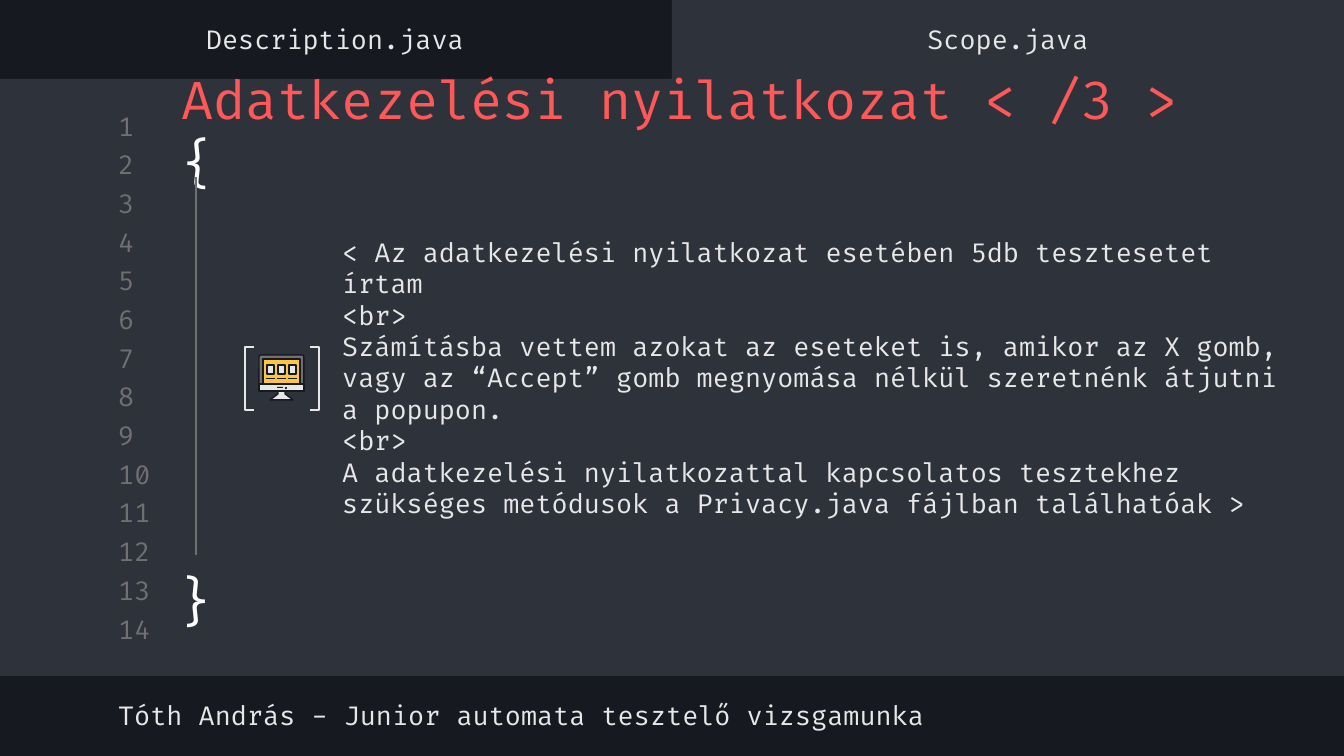
from dataclasses import dataclass

from lxml import etree
from pptx import Presentation
from pptx import util as u
from pptx.dml.color import RGBColor
from pptx.enum import shapes, text
from pptx.oxml.ns import qn

SCALE = 9144000 / 1344
WIDE, HIGH = 1344, 756


def px(n: int) -> u.Emu:
    return u.Emu(round(n * SCALE))


@dataclass(frozen=True)
class Theme:
    font: str = "Fira Code"
    body: int = 14
    head: int = 28
    thin: float = 0.75
    back: str = "16191F"
    panel: str = "2E323B"
    gray: str = "707070"
    pale: str = "E7E7E7"
    red: str = "FF5858"
    white: str = "FFFFFF"
    gold: str = "FCC642"


T = Theme()
KIND = shapes.MSO_SHAPE
MID = text.MSO_ANCHOR.MIDDLE
TOP = text.MSO_ANCHOR.TOP
CENTER = text.PP_ALIGN.CENTER
LEFT = text.PP_ALIGN.LEFT


@dataclass(frozen=True)
class Box:
    x: int
    y: int
    w: int
    h: int

    def emu(self) -> tuple:
        return px(self.x), px(self.y), px(self.w), px(self.h)


@dataclass(frozen=True)
class Label:
    box: Box
    lines: tuple
    color: str = T.pale
    size: int = T.body
    align: int = LEFT
    anchor: int = MID


@dataclass(frozen=True)
class Form:
    box: Box
    fill: str = ""
    line: str = ""
    kind: int = KIND.RECTANGLE
    bend: float | None = None


def rgb(code: str) -> RGBColor:
    return RGBColor.from_string(code)


def paint(shape, fill: str, line: str) -> None:
    shape.shadow.inherit = False
    if fill:
        shape.fill.solid()
        shape.fill.fore_color.rgb = rgb(fill)
    else:
        shape.fill.background()
    if line:
        shape.line.color.rgb = rgb(line)
        shape.line.width = u.Pt(T.thin)
    else:
        shape.line.fill.background()


def draw(slide, form: Form) -> None:
    shape = slide.shapes.add_shape(form.kind, *form.box.emu())
    if form.bend is not None:
        shape.adjustments[0] = form.bend
    paint(shape, form.fill, form.line)


def write(slide, label: Label):
    shape = slide.shapes.add_textbox(*label.box.emu())
    frame = shape.text_frame
    frame.word_wrap = True
    frame.vertical_anchor = label.anchor
    frame.margin_left = frame.margin_right = u.Inches(0.1)
    frame.margin_top = frame.margin_bottom = u.Inches(0.1)
    for i, line in enumerate(label.lines):
        para = frame.add_paragraph() if i else frame.paragraphs[0]
        para.alignment = label.align
        para.font.name = T.font
        para.font.size = u.Pt(label.size)
        para.font.color.rgb = rgb(label.color)
        para.add_run().text = line
    return shape


def stand(slide) -> None:
    dots = [(278, 391), (285, 391), (285, 394), (293, 400), (270, 400), (278, 394)]
    build = slide.shapes.build_freeform(*dots[0], scale=SCALE)
    build.add_line_segments(dots[1:], close=True)
    paint(build.convert_to_shape(), T.pale, T.back)


def icon(slide) -> None:
    stand(slide)
    draw(slide, Form(Box(259, 355, 45, 36), T.gray, T.back, KIND.ROUNDED_RECTANGLE, 0.06))
    draw(slide, Form(Box(263, 359, 37, 26), T.gold, T.back))
    draw(slide, Form(Box(259, 384, 45, 7), T.pale, T.back))
    for x in range(267, 290, 11):
        draw(slide, Form(Box(x, 365, 7, 9), T.pale, T.back))
        draw(slide, Form(Box(x - 1, 378, 9, 1), T.back))
    draw(slide, Form(Box(277, 387, 6, 1), T.back))
    draw(slide, Form(Box(285, 387, 2, 2), T.back, kind=KIND.OVAL))


def rule(slide, brace) -> None:
    line = slide.shapes.add_connector(
        shapes.MSO_CONNECTOR.STRAIGHT, px(196), px(177), px(196), px(555))
    line.end_connect(brace, 0)
    line.line.color.rgb = rgb(T.gray)
    line.line.width = u.Pt(T.thin)
    etree.SubElement(line._element.spPr, qn("a:effectLst"))


PANELS = (
    Form(Box(0, 79, WIDE, 597), T.panel),
    Form(Box(672, 0, 672, 87), T.panel),
)
MARKS = (
    Form(Box(245, 347, 9, 63), line=T.pale, kind=KIND.LEFT_BRACKET, bend=0),
    Form(Box(310, 347, 9, 63), line=T.pale, kind=KIND.RIGHT_BRACKET, bend=0),
)
ROWS = 14
NUMBERS = tuple(
    Label(Box(105, 110 + 503 * i // (ROWS - 1), 63, 32), (str(i + 1),), T.gray)
    for i in range(ROWS)
)
LABELS = (
    Label(Box(329, 169, 964, 417), (
        "< Az adatkezelési nyilatkozat esetében 5db tesztesetet írtam",
        "<br>",
        "Számításba vettem azokat az eseteket is, amikor az X gomb, vagy az "
        "“Accept” gomb megnyomása nélkül szeretnénk átjutni a popupon.",
        "<br>",
        "A adatkezelési nyilatkozattal kapcsolatos tesztekhez szükséges "
        "metódusok a Privacy.java fájlban találhatóak >",
    )),
    Label(Box(105, 689, 1122, 52),
          ("Tóth András - Junior automata tesztelő vizsgamunka",)),
    Label(Box(-1, 13, 672, 52), ("Description.java",), align=CENTER),
    Label(Box(672, 13, 672, 52), ("Scope.java",), align=CENTER),
)
TITLE = Label(Box(168, 91, 1067, 78), ("Adatkezelési nyilatkozat < /3 > ",), T.red, T.head)
BRACE = Label(Box(159, 555, 74, 90), ("}",), T.white, T.head, CENTER, TOP)


def main() -> None:
    deck = Presentation()
    deck.slide_width, deck.slide_height = px(WIDE), px(HIGH)
    slide = deck.slides.add_slide(deck.slide_layouts[6])
    slide.background.fill.solid()
    slide.background.fill.fore_color.rgb = rgb(T.back)
    for form in PANELS:
        draw(slide, form)
    for label in NUMBERS + LABELS:
        write(slide, label)
    title = write(slide, TITLE)
    curl = title.text_frame.paragraphs[0].add_run()
    curl.text = "{"
    curl.font.color.rgb = rgb(T.white)
    icon(slide)
    for form in MARKS:
        draw(slide, form)
    rule(slide, write(slide, BRACE))
    deck.save("out.pptx")


if __name__ == "__main__":
    main()
